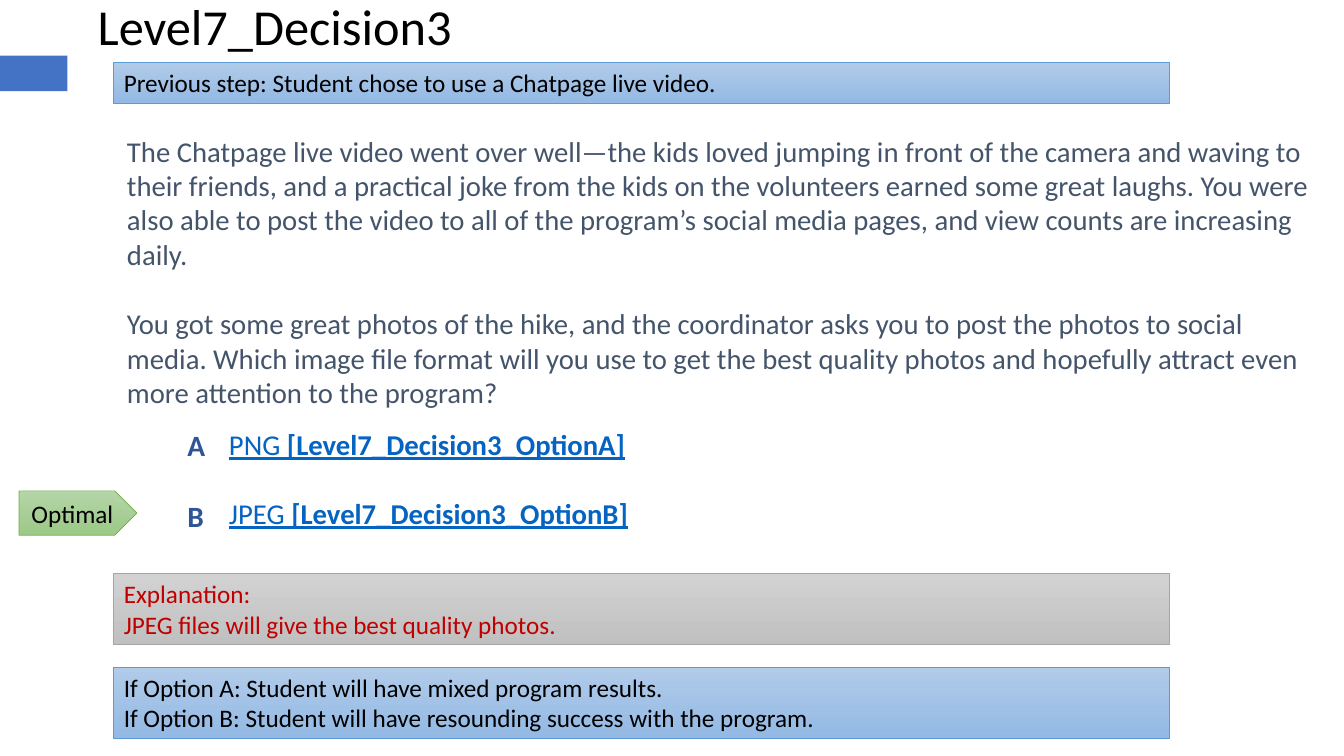
from pptx import Presentation
from pptx.dml.color import RGBColor
from pptx.enum import shapes, text
from pptx.oxml import parse_xml
from pptx.oxml.ns import nsdecls
from pptx.util import Cm, Pt

BLACK = RGBColor(0x00, 0x00, 0x00)
SLATE = RGBColor(0x44, 0x54, 0x6A)
LINK_BLUE = RGBColor(0x05, 0x63, 0xC1)
LETTER_BLUE = RGBColor(0x2F, 0x55, 0x97)
ACCENT_BLUE = RGBColor(0x44, 0x72, 0xC4)
DARK_RED = RGBColor(0xC0, 0x00, 0x00)
BLUE_PANEL = (RGBColor(0xB1, 0xCB, 0xE9), RGBColor(0x93, 0xB9, 0xE4), RGBColor(0x5B, 0x9B, 0xD5))
GRAY_PANEL = (RGBColor(0xD2, 0xD2, 0xD2), RGBColor(0xC0, 0xC0, 0xC0), RGBColor(0xA5, 0xA5, 0xA5))
GREEN_PANEL = (RGBColor(0xB5, 0xD5, 0xA7), RGBColor(0x9C, 0xC9, 0x87), RGBColor(0x70, 0xAD, 0x47))

PANEL_LEFT, PANEL_WIDTH = 2.87, 26.59
OPTION_STEP = 1.78

STORY = [
    "The Chatpage live video went over well—the kids loved jumping in front of the camera and "
    "waving to their friends, and a practical joke from the kids on the volunteers earned some "
    "great laughs. You were also able to post the video to all of the program’s social media "
    "pages, and view counts are increasing daily.",
    "You got some great photos of the hike, and the coordinator asks you to post the photos to "
    "social media. Which image file format will you use to get the best quality photos and "
    "hopefully attract even more attention to the program?",
]
OPTIONS = [("A", "PNG ", "[Level7_Decision3_OptionA]"), ("B", "JPEG ", "[Level7_Decision3_OptionB]")]


def place(shape, box):
    """Move a shape to a box of left, top, width and height in centimetres."""
    shape.left, shape.top, shape.width, shape.height = (Cm(length) for length in box)


def set_frame(frame, inset_x=0.25, inset_y=0.13, anchor=text.MSO_ANCHOR.TOP):
    """Give a text frame its insets, anchor and wrapping."""
    frame.margin_left = frame.margin_right = Cm(inset_x)
    frame.margin_top = frame.margin_bottom = Cm(inset_y)
    frame.vertical_anchor = anchor
    frame.word_wrap = True
    frame.auto_size = text.MSO_AUTO_SIZE.NONE


def style(font, size, color, bold=False):
    """Set the typeface, size, colour and weight of a font."""
    font.name, font.size, font.bold = "Calibri", Pt(size), bold
    font.color.rgb = color


def add_accent(slide, box):
    """Draw the plain accent bar at the slide edge."""
    accent = slide.shapes.add_shape(shapes.MSO_SHAPE.RECTANGLE, *(Cm(length) for length in box))
    accent.shadow.inherit = False
    accent.fill.solid()
    accent.fill.fore_color.rgb = ACCENT_BLUE
    accent.line.fill.background()


def add_title(slide, box, heading):
    """Fill the title placeholder."""
    title = slide.shapes.title
    place(title, box)
    set_frame(title.text_frame, anchor=text.MSO_ANCHOR.MIDDLE)
    title.text_frame.text = heading
    line = title.text_frame.paragraphs[0]
    line.alignment = text.PP_ALIGN.LEFT
    line.line_spacing = 0.9
    style(line.runs[0].font, 36, BLACK)


def fill_body(body, box, paragraphs):
    """Fill a body placeholder with unbulleted paragraphs and return them."""
    place(body, box)
    frame = body.text_frame
    frame.text = "\n".join(paragraphs)
    set_frame(frame, 0.33, 0.18)
    for index, paragraph in enumerate(frame.paragraphs):
        properties = paragraph._p.get_or_add_pPr()
        properties.set("marL", "0")
        properties.set("indent", "0")
        properties.append(parse_xml(f"<a:buNone {nsdecls('a')}/>"))
        paragraph.space_before = Pt(25 if index else 0)
    return frame.paragraphs


def add_story(slide, box):
    """Write the situation in the first body placeholder."""
    for paragraph in fill_body(slide.placeholders[1], box, STORY):
        style(paragraph.runs[0].font, 20.5, SLATE)


def add_options(slide, box):
    """Write the options in the second body placeholder, with a letter beside each."""
    left, top, width, height = box
    formats = [image_format for _, image_format, _ in OPTIONS]
    lines = fill_body(slide.placeholders[2], (left + 1.05, top, width - 1.05, height), formats)
    for row, (line, (letter, _, target)) in enumerate(zip(lines, OPTIONS)):
        line.add_run().text = target
        for run, bold in zip(line.runs, (False, True)):
            style(run.font, 20.5, LINK_BLUE, bold)
            run.font.underline = True
        label = slide.shapes.add_textbox(Cm(left), Cm(top + 0.02 + row * OPTION_STEP), Cm(1.75), Cm(1.3))
        label.text_frame.text = letter
        set_frame(label.text_frame, 0.33, 0.18)
        style(label.text_frame.paragraphs[0].runs[0].font, 21, LETTER_BLUE, True)


def add_panel(slide, box, wording, palette, color=BLACK, preset=shapes.MSO_SHAPE.RECTANGLE,
              align=text.PP_ALIGN.LEFT, anchor=text.MSO_ANCHOR.TOP):
    """Draw a gradient panel with its wording."""
    panel = slide.shapes.add_shape(preset, *(Cm(length) for length in box))
    panel.shadow.inherit = False
    panel.fill.gradient()
    panel.fill.gradient_angle = 270
    for stop, shade in zip(panel.fill.gradient_stops, palette):
        stop.color.rgb = shade
    panel.line.color.rgb = palette[2]
    panel.line.width = Pt(0.5)
    panel.text_frame.text = wording
    set_frame(panel.text_frame, anchor=anchor)
    for paragraph in panel.text_frame.paragraphs:
        paragraph.alignment = align
        style(paragraph.runs[0].font, 18, color)


def build_decision(slide):
    """Lay out the decision slide."""
    add_accent(slide, (0, 1.4, 1.7, 0.9))
    add_story(slide, (PANEL_LEFT, 3.18, 30.99, 7.49))
    add_options(slide, (4.39, 10.57, 15.96, 3.5))
    add_title(slide, (2.21, 0.03, 28.93, 1.4), "Level7_Decision3")
    add_panel(slide, (PANEL_LEFT, 1.57, PANEL_WIDTH, 1.03),
              "Previous step: Student chose to use a Chatpage live video.", BLUE_PANEL)
    add_panel(slide, (PANEL_LEFT, 16.81, PANEL_WIDTH, 1.8),
              "If Option A: Student will have mixed program results.\n"
              "If Option B: Student will have resounding success with the program.", BLUE_PANEL)
    add_panel(slide, (PANEL_LEFT, 14.45, PANEL_WIDTH, 1.8),
              "Explanation:\nJPEG files will give the best quality photos.", GRAY_PANEL, DARK_RED)
    add_panel(slide, (0.48, 12.37, 2.97, 1.12), "Optimal", GREEN_PANEL,
              preset=shapes.MSO_SHAPE.PENTAGON, align=text.PP_ALIGN.CENTER,
              anchor=text.MSO_ANCHOR.MIDDLE)


def main():
    """Build and save the presentation."""
    deck = Presentation()
    deck.slide_width, deck.slide_height = Cm(33.87), Cm(19.05)
    build_decision(deck.slides.add_slide(deck.slide_layouts.get_by_name("Two Content")))
    deck.save("out.pptx")


if __name__ == "__main__":
    main()
